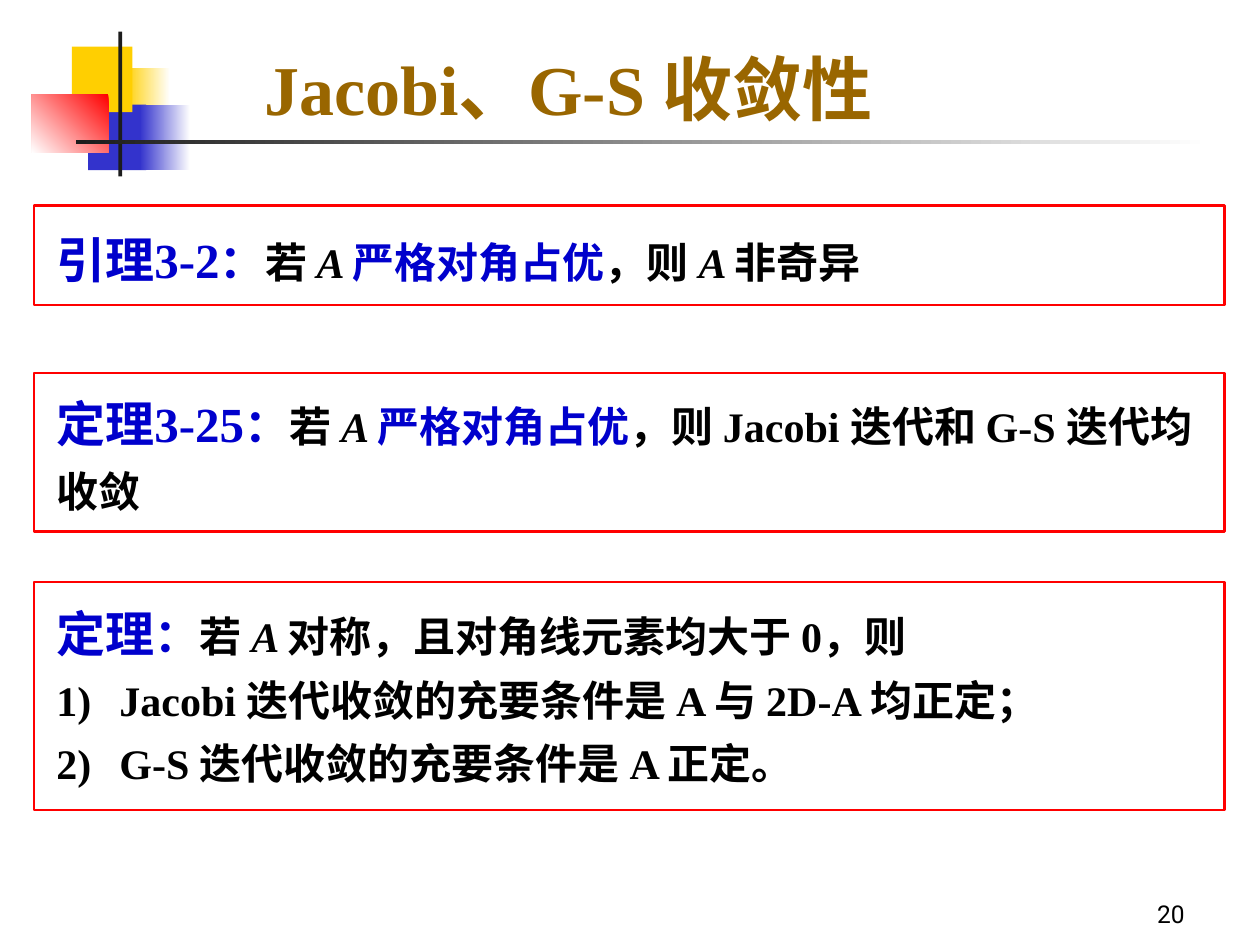
from dataclasses import dataclass
from typing import NamedTuple

from lxml import etree
from pptx import Presentation
from pptx import util as u
from pptx.dml.color import RGBColor
from pptx.enum import lang, shapes, text
from pptx.oxml.ns import qn

COLS, ROWS = 1000, 750


@dataclass(frozen=True)
class Theme:
    serif: str = "Times New Roman"
    sans: str = "Roboto"
    gold: str = "FFCF01"
    navy: str = "3333CC"
    red: str = "FF0000"
    white: str = "FFFFFF"
    dark: str = "1C1C1C"
    brown: str = "996600"
    blue: str = "0000CC"
    black: str = "000000"
    title: int = 40
    head: int = 28
    colon: int = 26
    body: int = 24
    page: int = 14


T = Theme()


class Box(NamedTuple):
    col: float
    row: float
    wide: float
    high: float


class Tile(NamedTuple):
    box: Box
    tones: tuple[str, ...]
    angle: int = 180


class Run(NamedTuple):
    words: str
    size: int = T.body
    tone: str = T.black
    slant: bool = False
    face: str = T.serif
    bold: bool = True


class Para(NamedTuple):
    runs: list[Run]
    lead: float = 1.0
    hang: bool = False
    count: bool = False
    align: text.PP_ALIGN = text.PP_ALIGN.LEFT


class Panel(NamedTuple):
    frame: Box
    area: Box
    paras: list[Para]


deck = Presentation()
deck.slide_width, deck.slide_height = u.Inches(10), u.Inches(7.5)
slide = deck.slides.add_slide(deck.slide_layouts[6])


def place(box: Box) -> list[int]:
    across, down = deck.slide_width / COLS, deck.slide_height / ROWS
    return [round(n) for n in (box.col * across, box.row * down,
                               box.wide * across, box.high * down)]


def style(item, **values) -> None:
    for name, value in values.items():
        setattr(item, name, value)


def rect(box: Box):
    shape = slide.shapes.add_shape(shapes.MSO_SHAPE.RECTANGLE, *place(box))
    shape.shadow.inherit = False
    return shape


def draw_tile(tile: Tile) -> None:
    shape = rect(tile.box)
    shape.line.fill.background()
    if len(tile.tones) == 1:
        shape.fill.solid()
        shape.fill.fore_color.rgb = RGBColor.from_string(tile.tones[0])
        return
    shape.fill.gradient()
    shape.fill.gradient_angle = tile.angle
    for stop, tone in zip(shape.fill.gradient_stops, tile.tones):
        stop.color.rgb = RGBColor.from_string(tone)


def draw_frame(box: Box) -> None:
    shape = rect(box)
    shape.fill.background()
    shape.line.color.rgb = RGBColor.from_string(T.red)
    shape.line.width = u.Pt(1.5)


def add_count(props) -> None:
    tint = etree.SubElement(props, qn("a:buClr"))
    etree.SubElement(tint, qn("a:srgbClr"), val=T.black)
    etree.SubElement(props, qn("a:buFontTx"))
    etree.SubElement(props, qn("a:buAutoNum"), type="arabicParenR")


def write(box: Box, paras: list[Para], **values) -> None:
    frame = slide.shapes.add_textbox(*place(box)).text_frame
    style(frame, word_wrap=True, **values)
    for i, para in enumerate(paras):
        line = frame.paragraphs[0] if i == 0 else frame.add_paragraph()
        style(line, alignment=para.align, line_spacing=para.lead)
        props = line._p.get_or_add_pPr()
        if para.hang:
            props.set("marL", str(u.Inches(0.5)))
            props.set("indent", str(-u.Inches(0.5)))
        if para.count:
            add_count(props)
        for part in para.runs:
            run = line.add_run()
            run.text = part.words
            style(run.font, name=part.face, size=u.Pt(part.size),
                  bold=part.bold, italic=part.slant,
                  language_id=lang.MSO_LANGUAGE_ID.SIMPLIFIED_CHINESE)
            run.font.color.rgb = RGBColor.from_string(part.tone)


def open_with(label: str) -> list[Run]:
    return [Run(label, T.head, T.blue), Run("：", T.colon, T.blue),
            Run("若 "), Run("A ", slant=True)]


def dominant(label: str) -> list[Run]:
    return open_with(label) + [Run("严格对角占优", tone=T.blue), Run("，则 ")]


tiles = [
    Tile(Box(99, 54, 36, 52), (T.white, T.gold)),
    Tile(Box(70, 83, 46, 52), (T.navy,)),
    Tile(Box(57, 37, 48, 52), (T.gold,)),
    Tile(Box(111, 83, 40, 52), (T.white, T.navy)),
    Tile(Box(25, 75, 61, 46), (T.red, T.white), 225),
    Tile(Box(94, 25, 3, 115), (T.dark,)),
    Tile(Box(60, 111, 900, 3), (T.white, T.dark)),
]

panels = [
    Panel(Box(27, 163, 945, 79), Box(35, 170, 929, 64), [
        Para(dominant("引理3-2") + [Run("A ", slant=True), Run("非奇异")], 1.15),
    ]),
    Panel(Box(27, 296, 945, 126), Box(35, 296, 937, 119), [
        Para(dominant("定理3-25") + [Run("Jacobi 迭代和 G-S 迭代均收敛")], 1.25),
    ]),
    Panel(Box(27, 462, 945, 181), Box(35, 462, 937, 169), [
        Para(open_with("定理") + [Run("对称，且对角线元素均大于 0，则")], 1.25, True),
        Para([Run("Jacobi 迭代收敛的充要条件是 A 与 2D-A 均正定；")], 1.25, True, True),
        Para([Run("G-S 迭代收敛的充要条件是 A 正定。")], 1.25, True, True),
    ]),
]

for tile in tiles:
    draw_tile(tile)
low = text.MSO_ANCHOR.BOTTOM
write(Box(200, 25, 583, 83), [Para([Run("Jacobi、G-S 收敛性", T.title, T.brown)])],
      vertical_anchor=low)
for panel in panels:
    draw_frame(panel.frame)
    write(panel.area, panel.paras, auto_size=text.MSO_AUTO_SIZE.SHAPE_TO_FIT_TEXT)
write(Box(742, 692, 208, 50),
      [Para([Run("20", T.page, face=T.sans, bold=False)], align=text.PP_ALIGN.RIGHT)],
      vertical_anchor=low)

deck.save("out.pptx")
